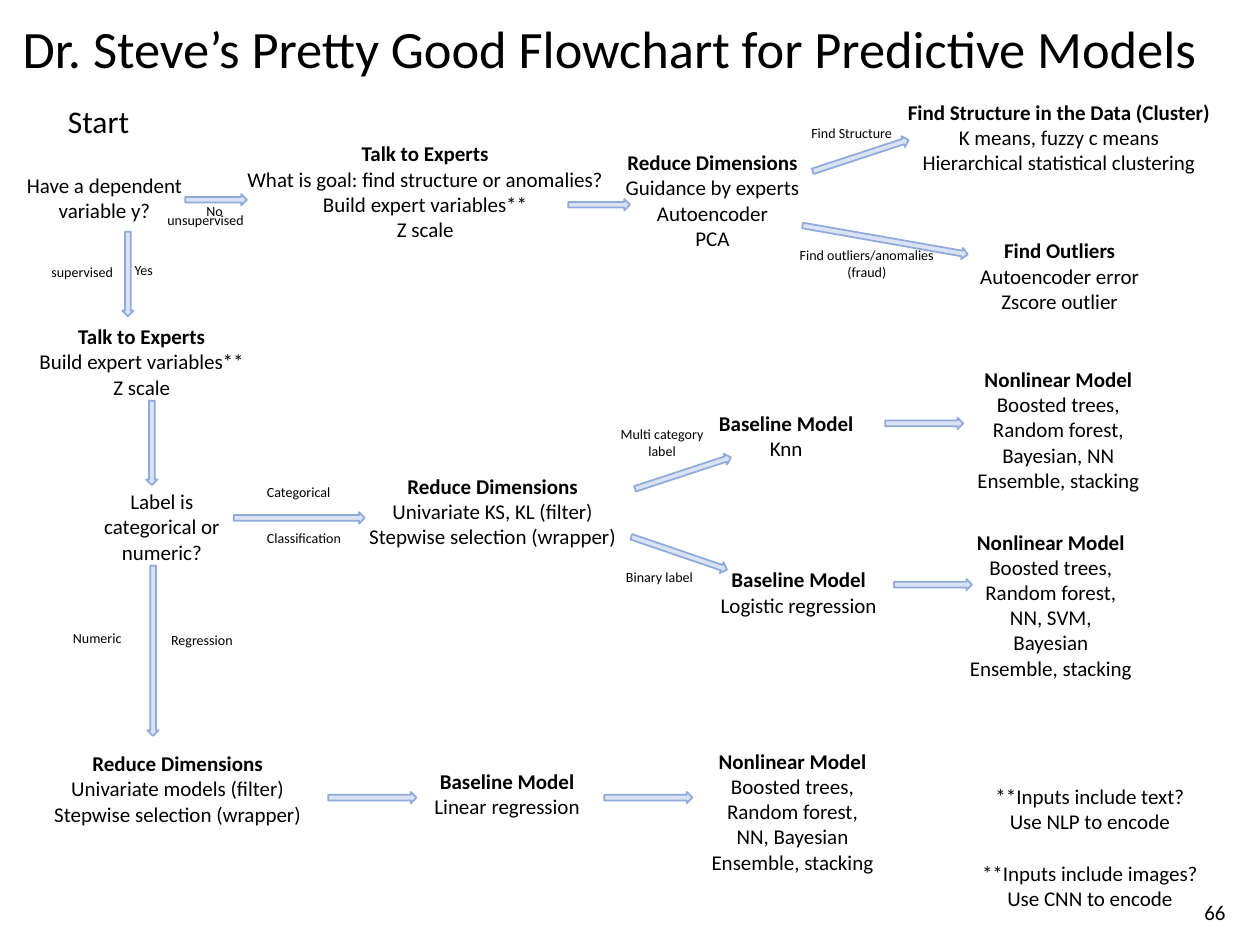
from dataclasses import dataclass
from math import atan2, degrees, hypot

from pptx import Presentation
from pptx.dml.color import RGBColor
from pptx.enum.shapes import MSO_SHAPE
from pptx.enum.text import MSO_ANCHOR, MSO_AUTO_SIZE, PP_ALIGN
from pptx.slide import Slide
from pptx.util import Inches, Pt

COLUMNS, ROWS = 100, 75
WIDTH, HEIGHT = Inches(10), Inches(7.5)
ARROW_THICKNESS = 0.9
REDUCE, BASELINE, NONLINEAR = "Reduce Dimensions", "Baseline Model", "Nonlinear Model"
STEPWISE, ENSEMBLE = "Stepwise selection (wrapper)", "Ensemble, stacking"
TREES = ["Boosted trees,", "Random forest,"]


def color(hex_value):
    """Turn a hex string into a colour."""
    return RGBColor.from_string(hex_value)


def cols(n):
    """Length of n grid columns."""
    return round(WIDTH * n / COLUMNS)


def rows(n):
    """Length of n grid rows."""
    return round(HEIGHT * n / ROWS)


def style(p, size, bold=False, align=PP_ALIGN.LEFT):
    """Format a paragraph and its runs."""
    p.alignment = align
    for r in p.runs:
        r.font.name, r.font.size, r.font.bold = "Calibri", Pt(size), bold
        r.font.color.rgb = color("000000")


@dataclass
class Region:
    """A part of the flowchart, whose parts are placed from its top left corner."""
    slide: Slide
    left: float
    top: float

    def text(self, x, y, width, lines, size=12, wrap=False, heading=False, centered=True):
        """Add lines of text, the first one bold if it is a heading."""
        height = 1 + len(lines) * size / 6
        sp = self.slide.shapes.add_textbox(
            cols(self.left + x), rows(self.top + y), cols(width), rows(height))
        tf = sp.text_frame
        tf.word_wrap = wrap
        tf.auto_size = MSO_AUTO_SIZE.SHAPE_TO_FIT_TEXT
        tf.text = "\n".join(lines)
        for i, p in enumerate(tf.paragraphs):
            style(p, size, heading and i == 0, PP_ALIGN.CENTER if centered else PP_ALIGN.LEFT)

    def step(self, x, y, width, title, *lines):
        """Add a step with a bold title and its details."""
        self.text(x, y, width, [title, *lines], heading=True)

    def label(self, x, y, width, *lines):
        """Add the small label of an arrow."""
        self.text(x, y, width, lines, size=8, centered=len(lines) > 1)

    def arrow(self, x1, y1, x2, y2):
        """Add a block arrow that points from one place to another."""
        length = hypot(x2 - x1, y2 - y1)
        x = self.left + (x1 + x2 - ARROW_THICKNESS) / 2
        y = self.top + (y1 + y2 - length) / 2
        sp = self.slide.shapes.add_shape(
            MSO_SHAPE.UP_ARROW, cols(x), rows(y), cols(ARROW_THICKNESS), rows(length))
        sp.rotation = degrees(atan2(x2 - x1, y1 - y2))
        sp.shadow.inherit = False
        sp.fill.solid()
        sp.fill.fore_color.rgb = color("DAE3F3")
        sp.line.color.rgb = color("8FAADC")
        sp.line.width = Pt(1)


def add_title(s, text):
    """Place and format the slide title."""
    sp = s.shapes.title
    sp.left, sp.top, sp.width, sp.height = cols(0.8), rows(2.3), cols(99.2), rows(3.5)
    tf = sp.text_frame
    tf.text = text
    tf.auto_size = MSO_AUTO_SIZE.NONE
    tf.vertical_anchor = MSO_ANCHOR.MIDDLE
    tf.paragraphs[0].line_spacing = 0.9
    style(tf.paragraphs[0], 30)


def add_decisions(region):
    """Draw the column of questions on the left."""
    region.text(3.4, 0.6, 6.9, ["Start"], size=18, centered=False)
    region.text(0, 6.2, 14.6, ["Have a dependent variable y?"], wrap=True)
    region.step(0.7, 18.2, 19.1, "Talk to Experts", "Build expert variables**", "Z scale")
    region.text(4.6, 31.3, 14.5, ["Label is", "categorical or numeric?"], wrap=True)
    region.label(14.4, 8.6, 3.3, "No")
    region.label(11.3, 9.3, 8.2, "unsupervised")
    region.label(2.1, 13.4, 7, "supervised")
    region.label(8.7, 13.3, 3.6, "Yes")
    region.label(3.8, 42.5, 5.9, "Numeric")
    region.label(11.6, 42.6, 7, "Regression")
    region.arrow(13.7, 8.85, 18.6, 8.85)
    for x, start, end in [(9.15, 11.4, 18.1), (11.05, 24.8, 31.5), (11.15, 37.9, 51.4)]:
        region.arrow(x, start, x, end)


def add_unsupervised(region):
    """Draw the branch without a dependent variable."""
    region.step(0.5, 3.7, 30.5, "Talk to Experts", "What is goal: find structure or anomalies?",
                "Build expert variables**", "Z scale")
    region.step(30.6, 4.4, 15.9, REDUCE, "Guidance by experts", "Autoencoder", "PCA")
    region.step(52.9, 0.4, 26.3, "Find Structure in the Data (Cluster)",
                "K means, fuzzy c means", "Hierarchical statistical clustering")
    region.step(58.7, 11.4, 14.8, "Find Outliers", "Autoencoder error", "Zscore outlier")
    region.label(45.4, 2.4, 8.5, "Find Structure")
    region.arrow(27.1, 9.25, 32, 9.25)
    region.arrow(46.5, 6.6, 54.1, 4.1)
    region.arrow(45.7, 10.9, 58.8, 13.2)
    region.label(44.4, 12.1, 12.8, "Find outliers/anomalies", "(fraud)")


def add_classification(region):
    """Draw the branch for categorical labels."""
    region.step(10.2, 9.1, 21.8, REDUCE, "Univariate KS, KL (filter)", STEPWISE)
    region.step(38, 4.1, 12.8, BASELINE, "Knn")
    region.step(38.1, 16.5, 14.6, BASELINE, "Logistic regression")
    region.step(58.5, 0.6, 15, NONLINEAR, *TREES, "Bayesian, NN", ENSEMBLE)
    region.step(57.9, 13.5, 15, NONLINEAR, *TREES, "NN, SVM,", "Bayesian", ENSEMBLE)
    region.label(2.2, 9.9, 7.1, "Categorical")
    region.label(2.2, 13.5, 8, "Classification")
    region.label(30.2, 5.3, 8.7, "Multi category", "label")
    region.label(30.7, 16.6, 7.4, "Binary label")
    region.arrow(0.55, 13.1, 10.95, 13.1)
    region.arrow(32.4, 10.8, 40, 8.3)
    region.arrow(32.1, 14.6, 39.7, 17.2)
    region.arrow(52.25, 5.6, 58.45, 5.6)
    region.arrow(52.95, 18.4, 59.15, 18.4)


def add_regression(region):
    """Draw the branch for numeric labels."""
    region.step(0.2, 1.1, 21.8, REDUCE, "Univariate models (filter)", STEPWISE)
    region.step(30.4, 2.5, 13.7, BASELINE, "Linear regression")
    region.step(52.4, 0.9, 15, NONLINEAR, *TREES, "NN, Bayesian", ENSEMBLE)
    for x in (23.05, 44.95):
        region.arrow(x, 5.3, x + 7, 5.3)


def add_notes(region):
    """Write the remarks on encoding and the page number."""
    region.text(2.9, 0.7, 17.2, ["**Inputs include text?", "Use NLP to encode"], wrap=True)
    region.text(0.9, 6.8, 21.2, ["**Inputs include images?", "Use CNN to encode"], wrap=True)
    region.text(19.6, 9.9, 5.4, ["66"], wrap=True, centered=False)


def main():
    """Build the flowchart slide."""
    prs = Presentation()
    prs.slide_width, prs.slide_height = WIDTH, HEIGHT
    s = prs.slides.add_slide(prs.slide_layouts[5])
    add_title(s, "Dr. Steve’s Pretty Good Flowchart for Predictive Models")
    add_decisions(Region(s, 1, 7))
    add_unsupervised(Region(s, 18, 7))
    add_classification(Region(s, 18, 28))
    add_regression(Region(s, 3, 58))
    add_notes(Region(s, 75, 61))
    prs.save("out.pptx")


if __name__ == "__main__":
    main()
